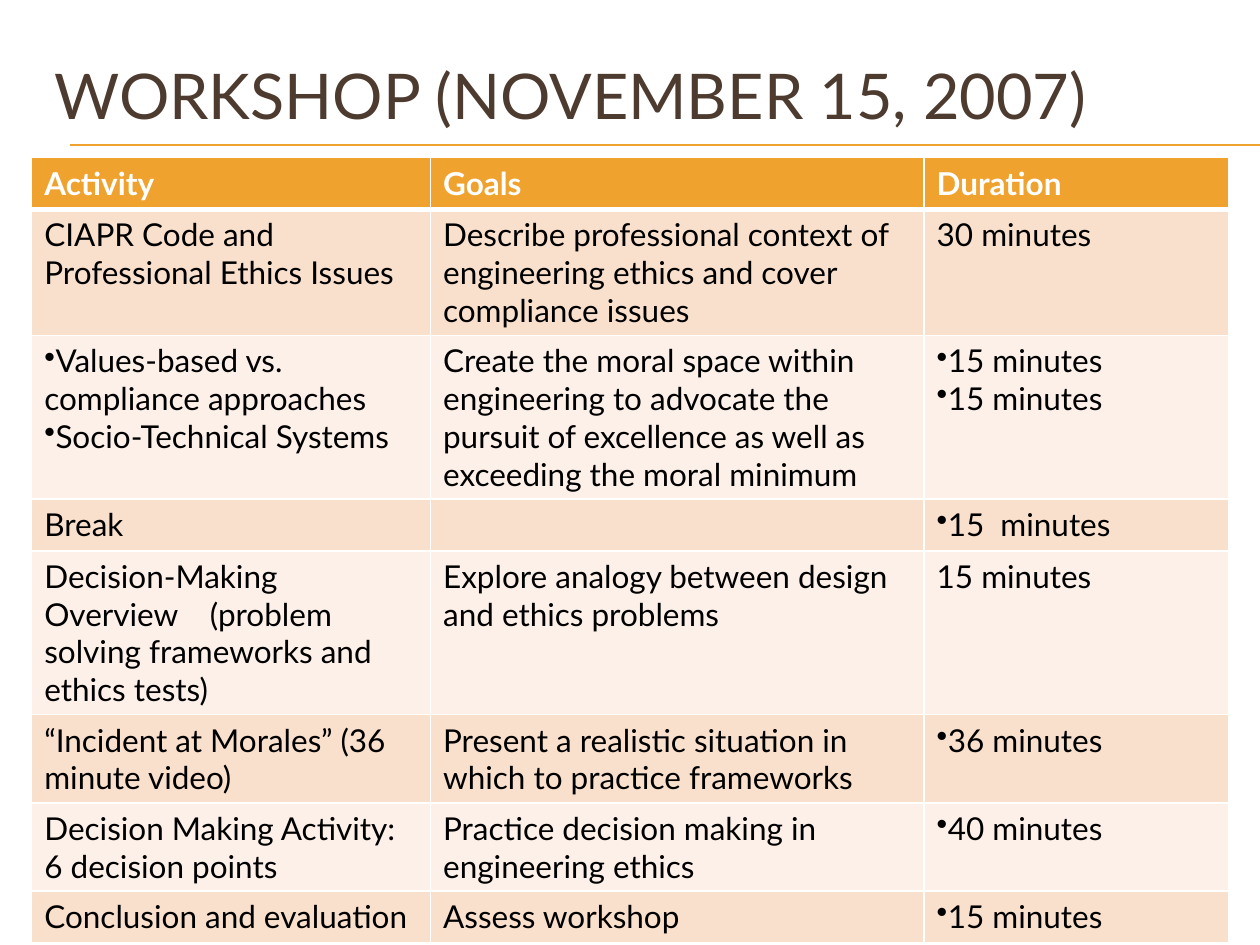
from dataclasses import dataclass

from lxml import etree
from pptx import Presentation
from pptx.dml.color import RGBColor
from pptx.enum.shapes import MSO_CONNECTOR
from pptx.enum.text import MSO_ANCHOR
from pptx.oxml.ns import qn
from pptx.util import Cm, Pt

STRAIGHT = MSO_CONNECTOR.STRAIGHT
MIDDLE = MSO_ANCHOR.MIDDLE
BULLET = "•"


@dataclass(frozen=True)
class Theme:
    font: str = "Lato"
    title_size: int = 36
    body_size: int = 18
    title: str = "4E3B30"
    accent: str = "F0A22E"
    text: str = "000000"
    white: str = "FFFFFF"
    bands: tuple = ("F9E0CD", "FCF0E8")


class SlideBuilder:
    def __init__(self, page, theme):
        self.page = page
        self.theme = theme

    def style(self, para, size, color, bold=False):
        font = para.font
        font.name = self.theme.font
        font.size = Pt(size)
        font.bold = bold
        font.color.rgb = RGBColor.from_string(color)

    def rule(self, left, right, y):
        line = self.page.shapes.add_connector(STRAIGHT, Cm(left), Cm(y), Cm(right), Cm(y))
        line.line.color.rgb = RGBColor.from_string(self.theme.accent)
        line.line.width = Pt(0.75)
        etree.SubElement(line._element.spPr, qn("a:effectLst"))

    def title(self, text, left, top, width, height):
        box = self.page.shapes.add_textbox(Cm(left), Cm(top), Cm(width), Cm(height))
        frame = box.text_frame
        frame.word_wrap = True
        frame.vertical_anchor = MIDDLE
        para = frame.paragraphs[0]
        para.text = text
        self.style(para, self.theme.title_size, self.theme.title)

    def borders(self, cell, bottom_width):
        properties = cell._tc.get_or_add_tcPr()
        widths = {"lnL": 1, "lnR": 1, "lnT": 1, "lnB": bottom_width}
        for position, (side, width) in enumerate(widths.items()):
            line = etree.Element(qn(f"a:{side}"), w=str(Pt(width)))
            fill = etree.SubElement(line, qn("a:solidFill"))
            etree.SubElement(fill, qn("a:srgbClr"), val=self.theme.white)
            properties.insert(position, line)

    def cell(self, cell, text, fill, color, header):
        cell.fill.solid()
        cell.fill.fore_color.rgb = RGBColor.from_string(fill)
        self.borders(cell, 3 if header else 1)
        cell.text = text.replace(BULLET, "")
        for para, source in zip(cell.text_frame.paragraphs, text.split("\n")):
            self.style(para, self.theme.body_size, color, header)
            if source.startswith(BULLET):
                bullet = etree.Element(qn("a:buChar"), char=BULLET)
                para._p.get_or_add_pPr().insert(0, bullet)

    def table(self, rows, left, top, widths, row_height, height):
        frame = self.page.shapes.add_table(
            len(rows), len(widths), Cm(left), Cm(top), Cm(sum(widths)), Cm(row_height * len(rows))
        )
        frame.height = Cm(height)
        table = frame.table
        for column, width in zip(table.columns, widths):
            column.width = Cm(width)
        for index, texts in enumerate(rows):
            header = index == 0
            fill = self.theme.accent if header else self.theme.bands[(index - 1) % 2]
            color = self.theme.white if header else self.theme.text
            for cell, text in zip(table.rows[index].cells, texts):
                self.cell(cell, text, fill, color, header)


AGENDA = [
    ("Activity", "Goals", "Duration"),
    ("CIAPR Code and Professional Ethics Issues",
     "Describe professional context of engineering ethics and cover compliance issues",
     "30 minutes"),
    ("•Values-based vs. compliance approaches\n•Socio-Technical Systems",
     "Create the moral space within engineering to advocate the pursuit of excellence "
     "as well as exceeding the moral minimum",
     "•15 minutes\n•15 minutes"),
    ("Break", "", "•15  minutes"),
    ("Decision-Making Overview    (problem solving frameworks and ethics tests)",
     "Explore analogy between design and ethics problems",
     "15 minutes"),
    ("“Incident at Morales” (36 minute video)",
     "Present a realistic situation in which to practice frameworks",
     "•36 minutes"),
    ("Decision Making Activity: 6 decision points",
     "Practice decision making in engineering ethics",
     "•40 minutes"),
    ("Conclusion and evaluation", "Assess workshop", "•15 minutes"),
]


def main():
    deck = Presentation()
    deck.slide_width, deck.slide_height = Cm(25.4), Cm(19.05)
    page = deck.slides.add_slide(deck.slide_layouts[6])
    builder = SlideBuilder(page, Theme())
    for y in (2.92, 2.94):
        builder.rule(1.42, 25.4, y)
    builder.title("WORKSHOP (NOVEMBER 15, 2007)", 0.85, 0.85, 24.13, 2.1)
    builder.table(AGENDA, 0.64, 3.18, (8.04, 9.95, 6.14), 1.04, 15.8)
    deck.save("out.pptx")


if __name__ == "__main__":
    main()
